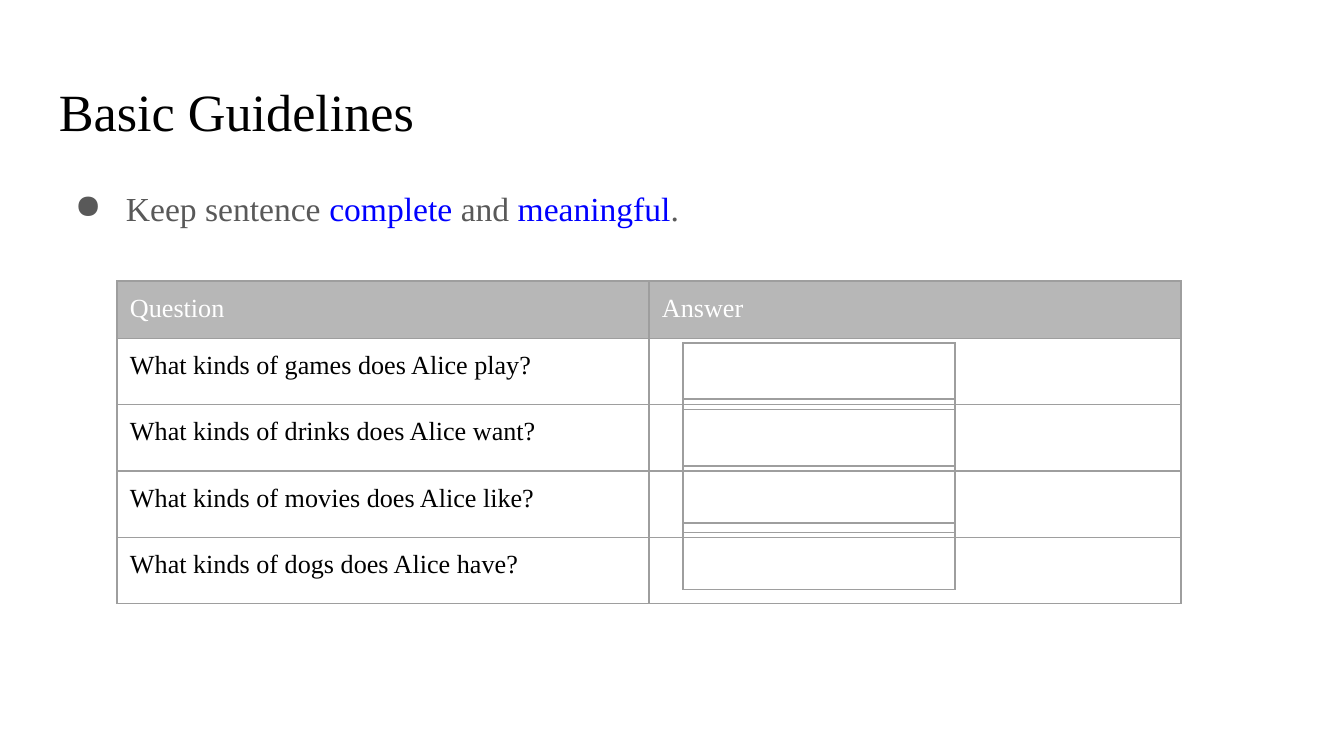
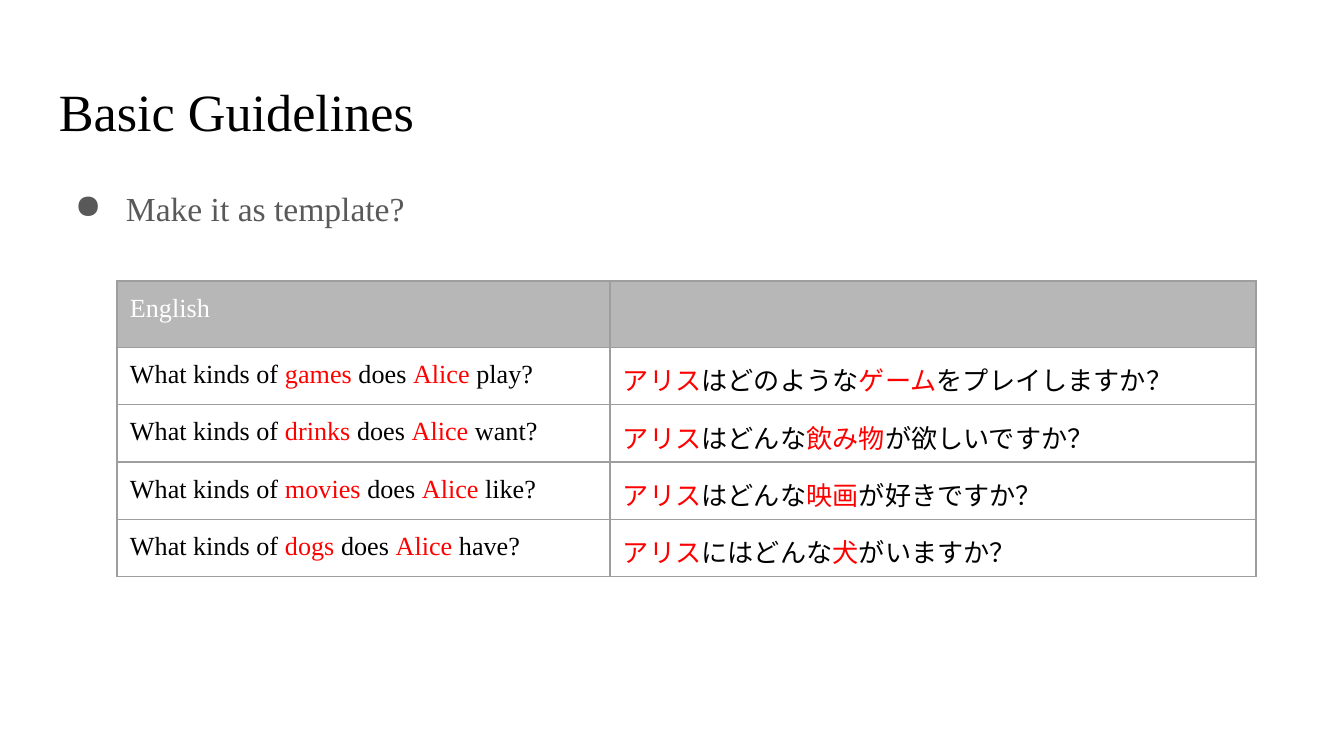
from lxml import etree
from pptx import Presentation
from pptx.dml.color import RGBColor
from pptx.enum.text import MSO_ANCHOR
from pptx.oxml.ns import qn
from pptx.util import Pt

# Content: words between asterisks are highlighted
TITLE = "Basic Guidelines"
GUIDELINE = "Keep sentence *complete* and *meaningful*."
QUESTIONS = [
    ("Question", "Answer"),
    ("What kinds of games does Alice play?", ""),
    ("What kinds of drinks does Alice want?", ""),
    ("What kinds of movies does Alice like?", ""),
    ("What kinds of dogs does Alice have?", ""),
]
TEMPLATE_IDEA = "Make it as template?"
TRANSLATIONS = [
    ("English", ""),
    ("What kinds of *games *does *Alice *play?", "*アリス*はどのような*ゲーム*をプレイしますか？"),
    ("What kinds of *drinks *does *Alice *want?", "*アリス*はどんな*飲み物*が欲しいですか？"),
    ("What kinds of *movies *does *Alice *like?", "*アリス*はどんな*映画*が好きですか？"),
    ("What kinds of *dogs *does *Alice *have?", "*アリス*にはどんな*犬*がいますか？"),
]

# Shared style, lengths in px
EMU_PER_PX = 914400 / 134.4
PAGE = (1344, 756)
TITLE_AREA = (46, 66, 1253, 85)
BODY_AREA = (46, 169, 1253, 503)
TABLE_LEFT, TABLE_TOP, ROW_HEIGHT = 117, 281, 56
BLANK_LEFT, BLANK_WIDTH, BLANK_HEIGHT = 683, 272, 46
BLANK_TOPS = (399, 343, 466, 523)
INSET = 13
BLACK, WHITE, GREY = "000000", "FFFFFF", "595959"
BLUE, RED = "0000FF", "FF0000"
HEADER_FILL, BORDER = "B7B7B7", "9E9E9E"
SERIF, SANS = "Times New Roman", "Arial"


def px(length):
    return round(length * EMU_PER_PX)


def rgb(value):
    return RGBColor.from_string(value)


def set_insets(target):
    for side in ("left", "top", "right", "bottom"):
        setattr(target, f"margin_{side}", px(INSET))


def write(frame, text, size=14, font=SERIF, color=BLACK, accent=RED):
    para = frame.paragraphs[0]
    for index, part in enumerate(text.split("*")):
        if part:
            span = para.add_run()
            span.text = part
            span.font.size = Pt(size)
            span.font.name = font
            span.font.color.rgb = rgb(accent if index % 2 else color)
    return para


def add_text(page, area, text, **style):
    frame = page.shapes.add_textbox(*map(px, area)).text_frame
    frame.word_wrap = True
    frame.vertical_anchor = MSO_ANCHOR.TOP
    set_insets(frame)
    return write(frame, text, **style)


def add_bullet(para):
    para.line_spacing = 1.15
    props = para._p.get_or_add_pPr()
    props.set("marL", str(px(67)))
    props.set("indent", str(px(-51)))
    color = etree.SubElement(props, qn("a:buClr"))
    etree.SubElement(color, qn("a:srgbClr"), val=GREY)
    etree.SubElement(props, qn("a:buChar"), char="●")


def add_borders(cell):
    props = cell._tc.get_or_add_tcPr()
    for index, side in enumerate(("lnL", "lnR", "lnT", "lnB")):
        line = etree.Element(qn(f"a:{side}"), w=str(Pt(0.75)))
        fill = etree.SubElement(line, qn("a:solidFill"))
        etree.SubElement(fill, qn("a:srgbClr"), val=BORDER)
        props.insert(index, line)


def add_grid(page, left, top, widths, row_height, rows, header=True):
    area = (left, top, sum(widths), row_height * len(rows))
    table = page.shapes.add_table(len(rows), len(widths), *map(px, area)).table
    table.first_row = table.horz_banding = False
    for column, width in zip(table.columns, widths):
        column.width = px(width)
    for r, row in enumerate(rows):
        table.rows[r].height = px(row_height)
        for c, text in enumerate(row):
            cell = table.cell(r, c)
            is_header = header and r == 0
            set_insets(cell)
            if is_header:
                cell.fill.solid()
                cell.fill.fore_color.rgb = rgb(HEADER_FILL)
            else:
                cell.fill.background()
            add_borders(cell)
            write(cell.text_frame, text,
                  font=SANS if c and not is_header else SERIF,
                  color=WHITE if is_header else BLACK)


def add_page(deck, point, widths, rows):
    page = deck.slides.add_slide(deck.slide_layouts[6])
    add_text(page, TITLE_AREA, TITLE, size=28)
    add_bullet(add_text(page, BODY_AREA, point, size=18, color=GREY, accent=BLUE))
    add_grid(page, TABLE_LEFT, TABLE_TOP, widths, ROW_HEIGHT, rows)
    return page


def main():
    deck = Presentation()
    deck.slide_width, deck.slide_height = map(px, PAGE)

    # Questions with blank answer boxes
    page = add_page(deck, GUIDELINE, (532, 532), QUESTIONS)
    for top in BLANK_TOPS:
        add_grid(page, BLANK_LEFT, top, (BLANK_WIDTH,), BLANK_HEIGHT, [("",)], header=False)

    # Questions beside their translations
    add_page(deck, TEMPLATE_IDEA, (493, 646), TRANSLATIONS)
    deck.save("out.pptx")


if __name__ == "__main__":
    main()
